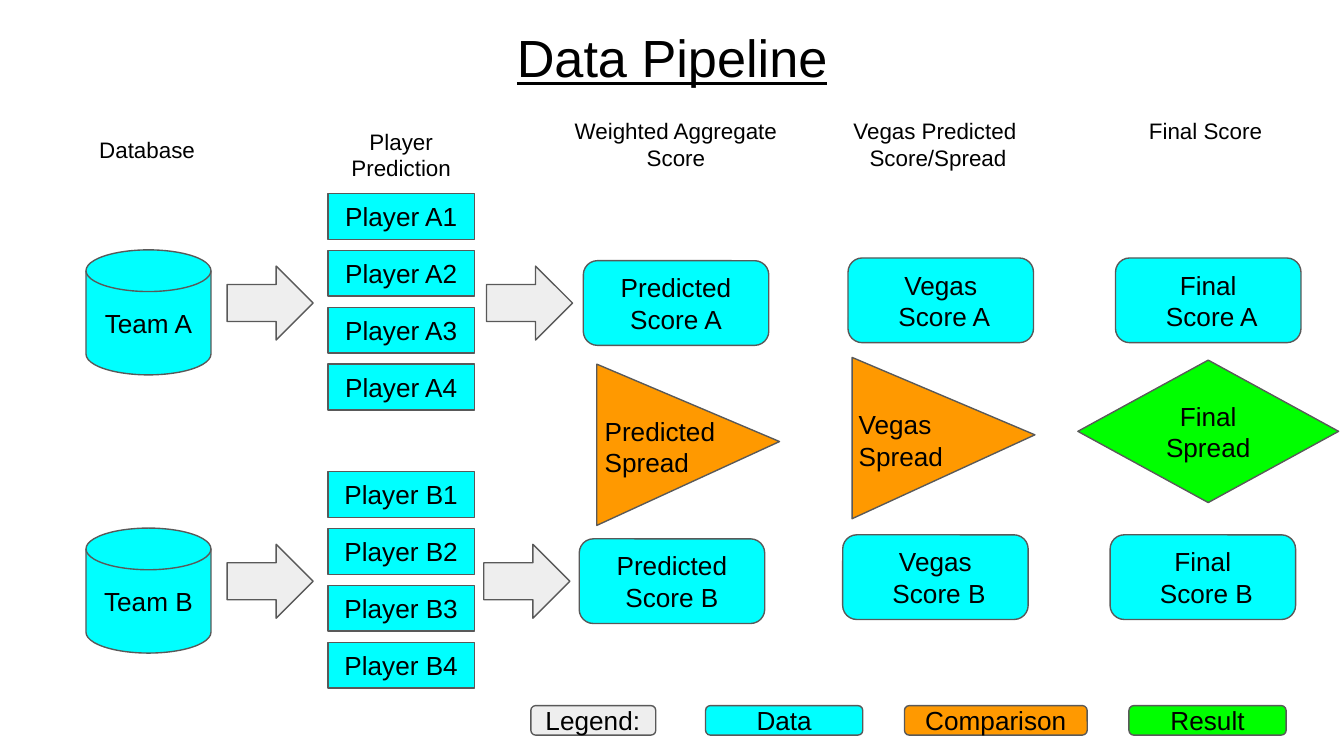
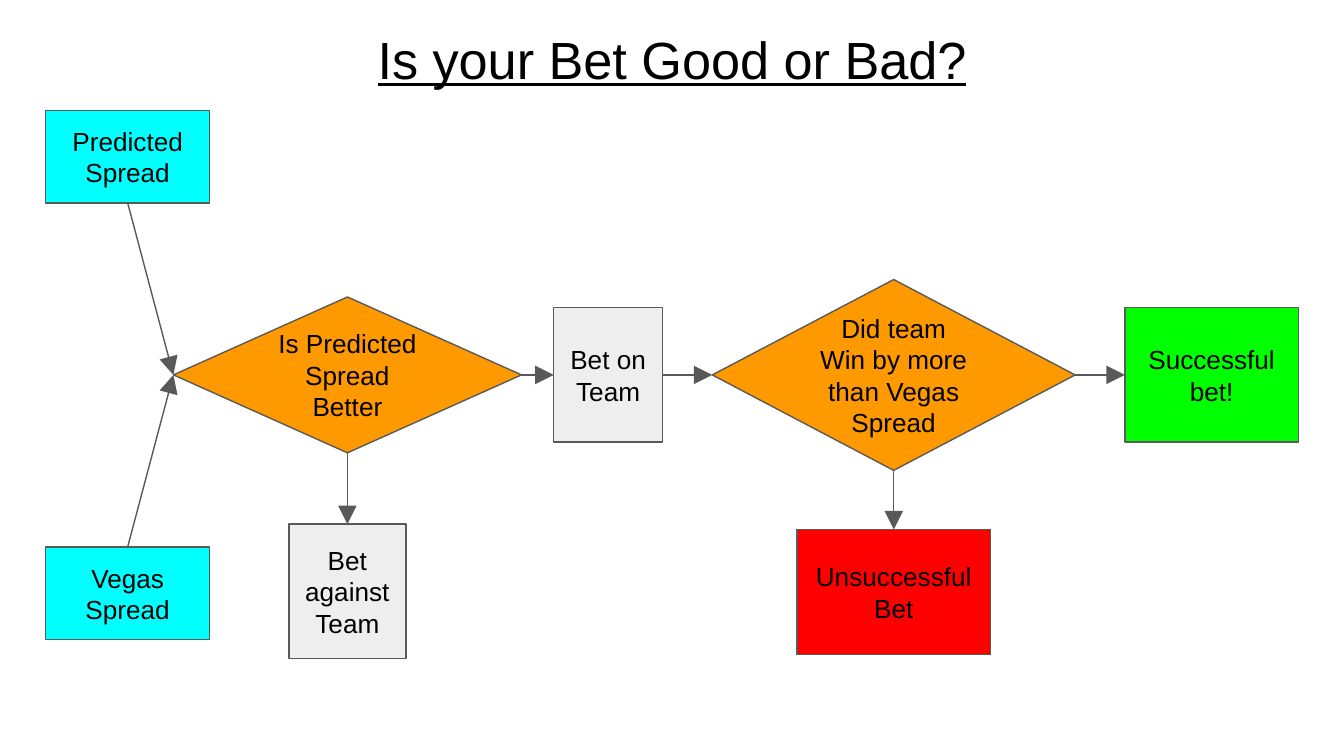
"""Build the two betting model slides: the data pipeline and the bet decision flow."""
from dataclasses import dataclass

import lxml.etree
import pptx
import pptx.dml.color
import pptx.enum.shapes
import pptx.enum.text
import pptx.oxml.ns
import pptx.presentation
import pptx.shapes.autoshape
import pptx.shapes.connector
import pptx.slide
import pptx.text.text
import pptx.util

Inches = pptx.util.Inches
Pt = pptx.util.Pt
RGBColor = pptx.dml.color.RGBColor
Kind = pptx.enum.shapes.MSO_SHAPE
Align = pptx.enum.text.PP_ALIGN
Anchor = pptx.enum.text.MSO_ANCHOR

BLACK = RGBColor(0x00, 0x00, 0x00)
OUTLINE = RGBColor(0x59, 0x59, 0x59)
NEUTRAL = RGBColor(0xEE, 0xEE, 0xEE)
DATA = RGBColor(0x00, 0xFF, 0xFF)
COMPARISON = RGBColor(0xFF, 0x99, 0x00)
RESULT = RGBColor(0x00, 0xFF, 0x00)
FAILURE = RGBColor(0xFF, 0x00, 0x00)

FONT = "Arial"
TITLE_SIZE, NODE_SIZE, HEADING_SIZE = 28, 14, 12
SLIDE_WIDTH = Inches(10)
SLIDE_HEIGHT = SLIDE_WIDTH * 9 // 16
INSET = Inches(0.1)
LINE_WIDTH = Pt(0.75)
TOP, LEFT, BOTTOM, RIGHT = range(4)

TEAM_PITCH = 2.07
PLAYER_SPAN = 1.27


@dataclass(frozen=True)
class Box:
    """Position and size in inches."""

    left: float
    top: float
    width: float
    height: float

    def lengths(self) -> tuple[pptx.util.Length, ...]:
        """Return the four measures as lengths."""
        return tuple(Inches(v) for v in (self.left, self.top, self.width, self.height))


@dataclass(frozen=True)
class Node:
    """A filled, outlined shape with an optional label."""

    kind: Kind
    box: Box
    fill: RGBColor
    text: str = ""
    align: Align = Align.CENTER


@dataclass(frozen=True)
class Label:
    """Free text without a shape."""

    box: Box
    text: str
    size: int = HEADING_SIZE
    align: Align = Align.CENTER


@dataclass(frozen=True)
class Link:
    """An arrow between connection sites of two named nodes."""

    source: str
    source_side: int
    target: str
    target_side: int


@dataclass(frozen=True)
class ScoreColumn:
    """A score stage with one box for each team."""

    name: str
    left_a: float
    left_b: float
    top_a: float
    top_b: float


def write_text(frame: pptx.text.text.TextFrame, text: str, size: int, align: Align,
               anchor: Anchor, underline: bool = False) -> None:
    """Fill a text frame and format its runs."""
    frame.text = text
    frame.word_wrap = True
    frame.auto_size = pptx.enum.text.MSO_AUTO_SIZE.NONE
    frame.vertical_anchor = anchor
    frame.margin_left = frame.margin_right = INSET
    frame.margin_top = frame.margin_bottom = INSET
    for paragraph in frame.paragraphs:
        paragraph.alignment = align
        for run in paragraph.runs:
            run.font.name = FONT
            run.font.size = Pt(size)
            run.font.color.rgb = BLACK
            run.font.underline = underline


def add_titled_slide(deck: pptx.presentation.Presentation, title: str,
                     top: float) -> pptx.slide.Slide:
    """Add a title-only slide with the underlined heading."""
    slide = deck.slides.add_slide(deck.slide_layouts.get_by_name("Title Only"))
    heading = slide.shapes.title
    heading.left, heading.top, heading.width, heading.height = Box(0.34, top, 9.32, 0.63).lengths()
    write_text(heading.text_frame, title, TITLE_SIZE, Align.CENTER, Anchor.TOP, underline=True)
    return slide


def draw_node(slide: pptx.slide.Slide, node: Node) -> pptx.shapes.autoshape.Shape:
    """Draw one node and return its shape."""
    shape = slide.shapes.add_shape(node.kind, *node.box.lengths())
    shape.shadow.inherit = False
    shape.fill.solid()
    shape.fill.fore_color.rgb = node.fill
    shape.line.color.rgb = OUTLINE
    shape.line.width = LINE_WIDTH
    if node.text:
        write_text(shape.text_frame, node.text, NODE_SIZE, node.align, Anchor.MIDDLE)
    return shape


def draw_label(slide: pptx.slide.Slide, label: Label) -> None:
    """Draw one piece of free text."""
    textbox = slide.shapes.add_textbox(*label.box.lengths())
    write_text(textbox.text_frame, label.text, label.size, label.align, Anchor.TOP)


def draw_comparison(slide: pptx.slide.Slide, pointer: Box, label: Label) -> None:
    """Draw a right-pointing triangle with its label on top."""
    triangle = draw_node(slide, Node(Kind.ISOSCELES_TRIANGLE, pointer, COMPARISON))
    triangle.adjustments[0] = 0.48
    triangle.rotation = 90
    draw_label(slide, label)


def draw_link(slide: pptx.slide.Slide, link: Link,
              shapes: dict[str, pptx.shapes.autoshape.Shape]) -> None:
    """Connect two drawn nodes with an arrow."""
    arrow: pptx.shapes.connector.Connector = slide.shapes.add_connector(
        pptx.enum.shapes.MSO_CONNECTOR.STRAIGHT, 0, 0, 0, 0)
    arrow.begin_connect(shapes[link.source], link.source_side)
    arrow.end_connect(shapes[link.target], link.target_side)
    arrow.line.color.rgb = OUTLINE
    arrow.line.width = LINE_WIDTH
    qn = pptx.oxml.ns.qn
    properties = arrow._element.spPr
    lxml.etree.SubElement(properties.find(qn("a:ln")), qn("a:tailEnd"),
                          type="triangle", w="lg", len="lg")
    lxml.etree.SubElement(properties, qn("a:effectLst"))


def build_pipeline(deck: pptx.presentation.Presentation) -> None:
    """Build the data pipeline slide."""
    slide = add_titled_slide(deck, "Data Pipeline", 0.09)

    headings = (
        Label(Box(0.64, 0.91, 0.93, 0.34), "Database", align=Align.LEFT),
        Label(Box(2.44, 0.85, 1.09, 0.46), "Player Prediction"),
        Label(Box(3.96, 0.77, 2.14, 0.63), "Weighted Aggregate Score"),
        Label(Box(5.91, 0.77, 2.14, 0.63), "Vegas Predicted \nScore/Spread"),
        Label(Box(7.9, 0.77, 2.14, 0.63), "Final Score"),
    )
    for heading in headings:
        draw_label(slide, heading)

    for row, (team, score_arrow_left) in enumerate((("A", 3.62), ("B", 3.6))):
        offset = row * TEAM_PITCH
        draw_node(slide, Node(Kind.FLOWCHART_MAGNETIC_DISK,
                              Box(0.64, 1.86 + offset, 0.93, 0.93), DATA, f"Team {team}"))
        for index in range(4):
            player_top = 1.44 + offset + index * PLAYER_SPAN / 3
            draw_node(slide, Node(Kind.FLOWCHART_PROCESS, Box(2.44, player_top, 1.09, 0.34),
                                  DATA, f"Player {team}{index + 1}"))
        for arrow_left in (1.69, score_arrow_left):
            draw_node(slide, Node(Kind.RIGHT_ARROW,
                                  Box(arrow_left, 1.98 + offset, 0.64, 0.55), NEUTRAL))

    score_columns = (
        ScoreColumn("Predicted", 4.34, 4.31, 1.94, 4.01),
        ScoreColumn("Vegas\n", 6.31, 6.27, 1.92, 3.98),
        ScoreColumn("Final\n", 8.3, 8.26, 1.92, 3.98),
    )
    for column in score_columns:
        for team, left, top in (("A", column.left_a, column.top_a),
                                ("B", column.left_b, column.top_b)):
            draw_node(slide, Node(Kind.FLOWCHART_ALTERNATE_PROCESS, Box(left, top, 1.38, 0.63),
                                  DATA, f"{column.name} Score {team}"))

    draw_comparison(slide, Box(4.52, 2.63, 1.2, 1.36),
                    Label(Box(4.4, 2.99, 1.09, 0.55), "Predicted Spread", NODE_SIZE, Align.LEFT))
    draw_comparison(slide, Box(6.42, 2.58, 1.2, 1.36),
                    Label(Box(6.29, 2.94, 1.09, 0.55), "Vegas Spread", NODE_SIZE, Align.LEFT))
    draw_node(slide, Node(Kind.FLOWCHART_DECISION, Box(8.02, 2.68, 1.94, 1.06),
                          RESULT, "Final\nSpread"))

    legend = (
        (3.95, 0.93, NEUTRAL, "Legend:", Align.LEFT),
        (5.25, 1.17, DATA, "Data", Align.CENTER),
        (6.73, 1.36, COMPARISON, "Comparison", Align.CENTER),
        (8.4, 1.17, RESULT, "Result", Align.CENTER),
    )
    for left, width, fill, text, align in legend:
        draw_node(slide, Node(Kind.FLOWCHART_ALTERNATE_PROCESS,
                              Box(left, 5.25, width, 0.22), fill, text, align))


def build_bet_flow(deck: pptx.presentation.Presentation) -> None:
    """Build the bet decision slide."""
    slide = add_titled_slide(deck, "Is your Bet Good or Bad?", 0.1)
    step, decision = Kind.FLOWCHART_PROCESS, Kind.FLOWCHART_DECISION
    nodes = {
        "predicted": Node(step, Box(0.34, 0.82, 1.22, 0.69), DATA, "Predicted\nSpread"),
        "vegas": Node(step, Box(0.34, 4.07, 1.22, 0.69), DATA, "Vegas\nSpread"),
        "better": Node(decision, Box(1.29, 2.21, 2.59, 1.16), COMPARISON,
                       "Is Predicted Spread Better"),
        "bet on": Node(step, Box(4.12, 2.29, 0.81, 1), NEUTRAL, "Bet on Team"),
        "bet against": Node(step, Box(2.15, 3.9, 0.87, 1), NEUTRAL, "Bet against Team"),
        "won": Node(decision, Box(5.3, 2.08, 2.7, 1.42), COMPARISON,
                    "Did team Win by more than Vegas Spread"),
        "success": Node(step, Box(8.37, 2.29, 1.29, 1), RESULT, "Successful bet!"),
        "failure": Node(step, Box(5.93, 3.94, 1.44, 0.93), FAILURE, "Unsuccessful Bet"),
    }
    shapes = {name: draw_node(slide, node) for name, node in nodes.items()}

    links = (
        Link("predicted", BOTTOM, "better", LEFT),
        Link("vegas", TOP, "better", LEFT),
        Link("better", RIGHT, "bet on", LEFT),
        Link("better", BOTTOM, "bet against", TOP),
        Link("bet on", RIGHT, "won", LEFT),
        Link("won", RIGHT, "success", LEFT),
        Link("won", BOTTOM, "failure", TOP),
    )
    for link in links:
        draw_link(slide, link, shapes)


def main() -> None:
    """Create the deck and save it."""
    deck = pptx.Presentation()
    deck.slide_width = SLIDE_WIDTH
    deck.slide_height = SLIDE_HEIGHT
    build_pipeline(deck)
    build_bet_flow(deck)
    deck.save("out.pptx")


if __name__ == "__main__":
    main()
